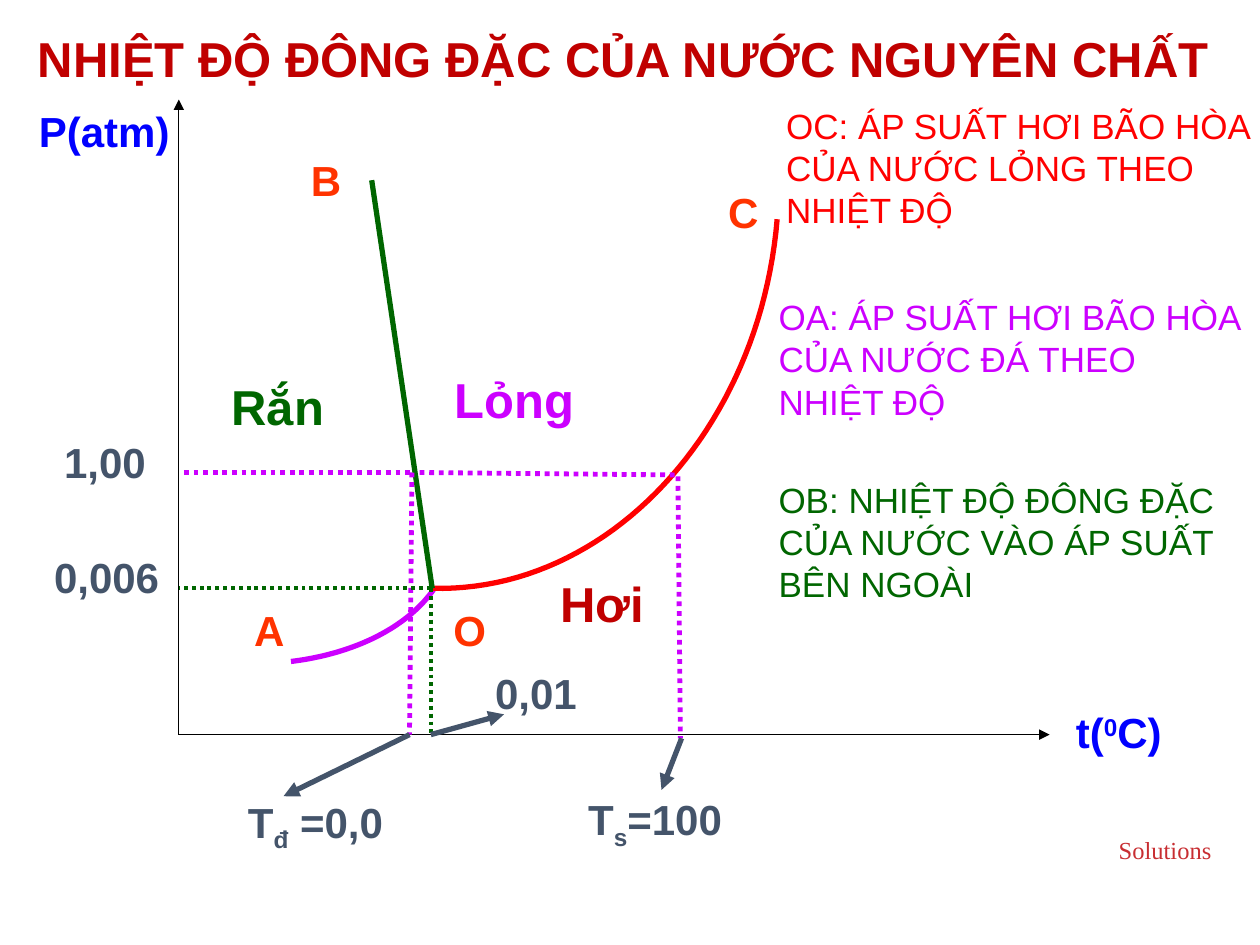
"""Build the phase diagram slide of pure water."""
from lxml.etree import SubElement
from pptx import Presentation
from pptx.dml.color import RGBColor as Color
from pptx.enum.dml import MSO_LINE as Dash
from pptx.enum.shapes import MSO_CONNECTOR as Connector
from pptx.enum.text import MSO_ANCHOR as Anchor, MSO_AUTO_SIZE as AutoSize, PP_ALIGN as Align
from pptx.oxml.ns import qn
from pptx.util import Pt

THEME = {
    "colors": {
        "title": "C00000", "axis": "000000", "axis_name": "0000FF", "point": "FF3300",
        "value": "44546A", "solid": "006600", "liquid": "CC00FF", "vapor": "C00000",
        "boiling": "FF0000", "footer": "C82E32",
    },
    "sizes": {"title": 28, "phase": 28, "label": 24, "note": 20, "footer": 14},
    "font": "Arial",
    "footer_font": "Times New Roman",
}


def write_text(shape, parts, color, size, bold=True, font=THEME["font"]):
    paragraph = shape.text_frame.paragraphs[0]
    paragraph.alignment = Align.LEFT
    formats = {"name": font, "size": Pt(THEME["sizes"][size]), "bold": bold}
    for text, baseline in parts:
        run = paragraph.add_run()
        run.text = text
        for name, value in formats.items():
            setattr(run.font, name, value)
        run.font.color.rgb = Color.from_string(THEME["colors"][color])
        if baseline:
            run.font._element.set("baseline", str(baseline * 1000))
    return paragraph


def style_line(shape, color, width, dash=None, arrow=False):
    shape.line.color.rgb = Color.from_string(THEME["colors"][color])
    for name, value in {"width": Pt(width), "dash_style": dash}.items():
        setattr(shape.line, name, value)
    if arrow:
        SubElement(shape.get_or_add_ln(), qn("a:tailEnd"), type="triangle")
    SubElement(shape._element.spPr, qn("a:effectLst"))


presentation = Presentation()
presentation.slide_width, presentation.slide_height = Pt(720), Pt(540)
slide = presentation.slides.add_slide(presentation.slide_layouts[5])
shapes = slide.shapes

title = shapes.title
title_format = {"left": Pt(14.4), "top": Pt(-0.7), "width": Pt(689.8), "height": Pt(72)}
for name, value in title_format.items():
    setattr(title, name, value)
title.text_frame.vertical_anchor = Anchor.MIDDLE
heading = write_text(title, [("NHIỆT ĐỘ ĐÔNG ĐẶC CỦA NƯỚC NGUYÊN CHẤT", 0)], "title", "title")
heading.line_spacing = 0.9

curves = [
    ("liquid", [(166.3, 378), (202.3, 373.7), (232.6, 358.6), (247.7, 337)]),
    ("boiling", [(247, 336.2), (347, 339), (434, 246), (444.1, 125.3)]),
]
STEPS = 48
for color, controls in curves:
    points = []
    for step in range(STEPS + 1):
        t = step / STEPS
        weights = [(1 - t) ** 3, 3 * t * (1 - t) ** 2, 3 * t ** 2 * (1 - t), t ** 3]
        points.append([Pt(sum(weight * point[axis] for weight, point in zip(weights, controls)))
                       for axis in (0, 1)])
    builder = shapes.build_freeform(*points[0])
    builder.add_line_segments(points[1:], close=False)
    curve = builder.convert_to_shape()
    curve.fill.background()
    style_line(curve, color, 3)

origin = (102.2, 419.8)
axis = {"color": "axis", "width": 0.75, "arrow": True}
melting = {"color": "solid", "width": 3}
triple_guide = {"color": "solid", "width": 2.25, "dash": Dash.ROUND_DOT}
normal_guide = {"color": "liquid", "width": 2.75, "dash": Dash.ROUND_DOT}
pointer = {"color": "value", "width": 3, "arrow": True}
lines = [
    (origin, (599.8, 419.8), axis),
    (origin, (102.2, 56.9), axis),
    ((247, 336.2), (212.4, 103), melting),
    ((105.1, 270), (236.9, 270), normal_guide),
    ((235.4, 270), (234, 419.8), normal_guide),
    ((246.2, 336.2), (102.2, 336.2), triple_guide),
    ((246.2, 336.2), (246.2, 419.8), triple_guide),
    ((239.8, 270), (385.9, 271.4), normal_guide),
    ((387.4, 272.2), (388.8, 421.9), normal_guide),
    ((234, 419.8), (162, 455), pointer),
    ((246.2, 419.8), (288, 408.2), pointer),
    ((389.5, 421.9), (378, 451.4), pointer),
]
for start, end, line_format in lines:
    line = shapes.add_connector(Connector.STRAIGHT, *map(Pt, start + end))
    style_line(line, **line_format)

labels = [
    (125.3, 211.7, 72, "solid", "phase", [("Rắn", 0)]),
    (252.7, 207.4, 90, "liquid", "phase", [("Lỏng", 0)]),
    (313.2, 324, 95.8, "vapor", "phase", [("Hơi", 0)]),
    (252, 342, 36, "point", "label", [("O", 0)]),
    (138.2, 342, 41.8, "point", "label", [("A", 0)]),
    (409, 103, 36, "point", "label", [("C", 0)]),
    (170.6, 85, 41.8, "point", "label", [("B", 0)]),
    (15.1, 56.9, 113.8, "axis_name", "label", [("P(atm)", 0)]),
    (607.7, 400.3, 72, "axis_name", "label", [("t(", 0), ("0", 30), ("C)", 0)]),
    (134.6, 451.4, 156.2, "value", "label", [("T", 0), ("đ", -25), (" =0,0", 0)]),
    (29.5, 246.2, 77.8, "value", "label", [("1,00", 0)]),
    (23.8, 311.8, 84.2, "value", "label", [("0,006", 0)]),
    (275.8, 378, 95.8, "value", "label", [("0,01", 0)]),
    (329, 450, 126, "value", "label", [("T", 0), ("s", -25), ("=100", 0)]),
    (442.1, 56.2, 282.2, "boiling", "note",
     [("OC: ÁP SUẤT HƠI BÃO HÒA CỦA NƯỚC LỎNG THEO NHIỆT ĐỘ", 0)]),
    (437.8, 270, 268.6, "solid", "note",
     [("OB: NHIỆT ĐỘ ĐÔNG ĐẶC CỦA NƯỚC VÀO ÁP SUẤT BÊN NGOÀI", 0)]),
    (437.8, 165.6, 282.2, "liquid", "note",
     [("OA: ÁP SUẤT HƠI BÃO HÒA CỦA NƯỚC ĐÁ THEO NHIỆT ĐỘ", 0)]),
    (632.2, 473.8, 67.7, "footer", "footer", [("Solutions", 0)]),
]
heights = {"phase": 41, "label": 36, "note": 80, "footer": 24}
for left, top, width, color, size, parts in labels:
    label = shapes.add_textbox(Pt(left), Pt(top), Pt(width), Pt(heights[size]))
    frame_format = {"word_wrap": size != "footer", "auto_size": AutoSize.SHAPE_TO_FIT_TEXT}
    for name, value in frame_format.items():
        setattr(label.text_frame, name, value)
    font = THEME["footer_font"] if size == "footer" else THEME["font"]
    write_text(label, parts, color, size, bold=size in ("phase", "label"), font=font)

presentation.save("out.pptx")
